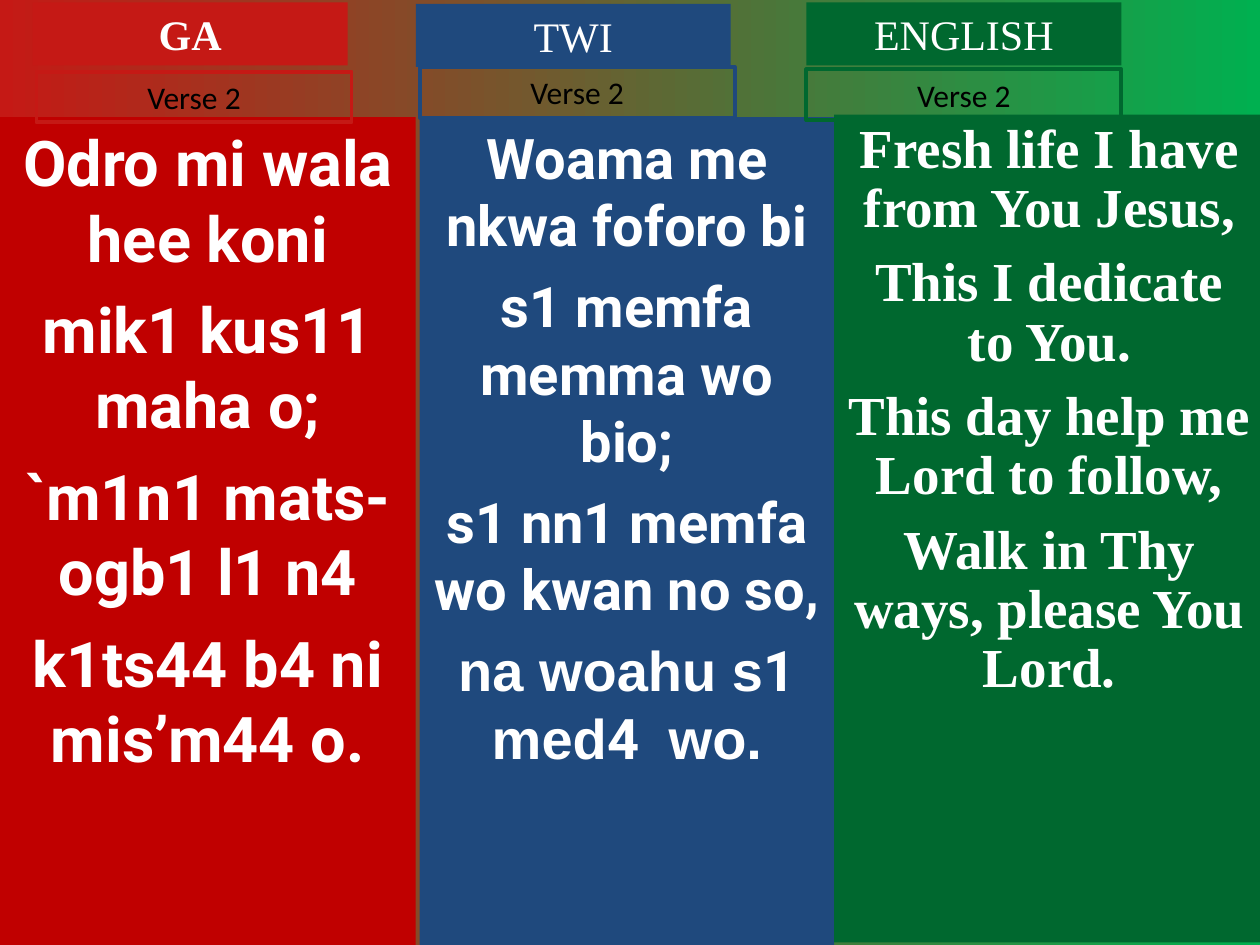
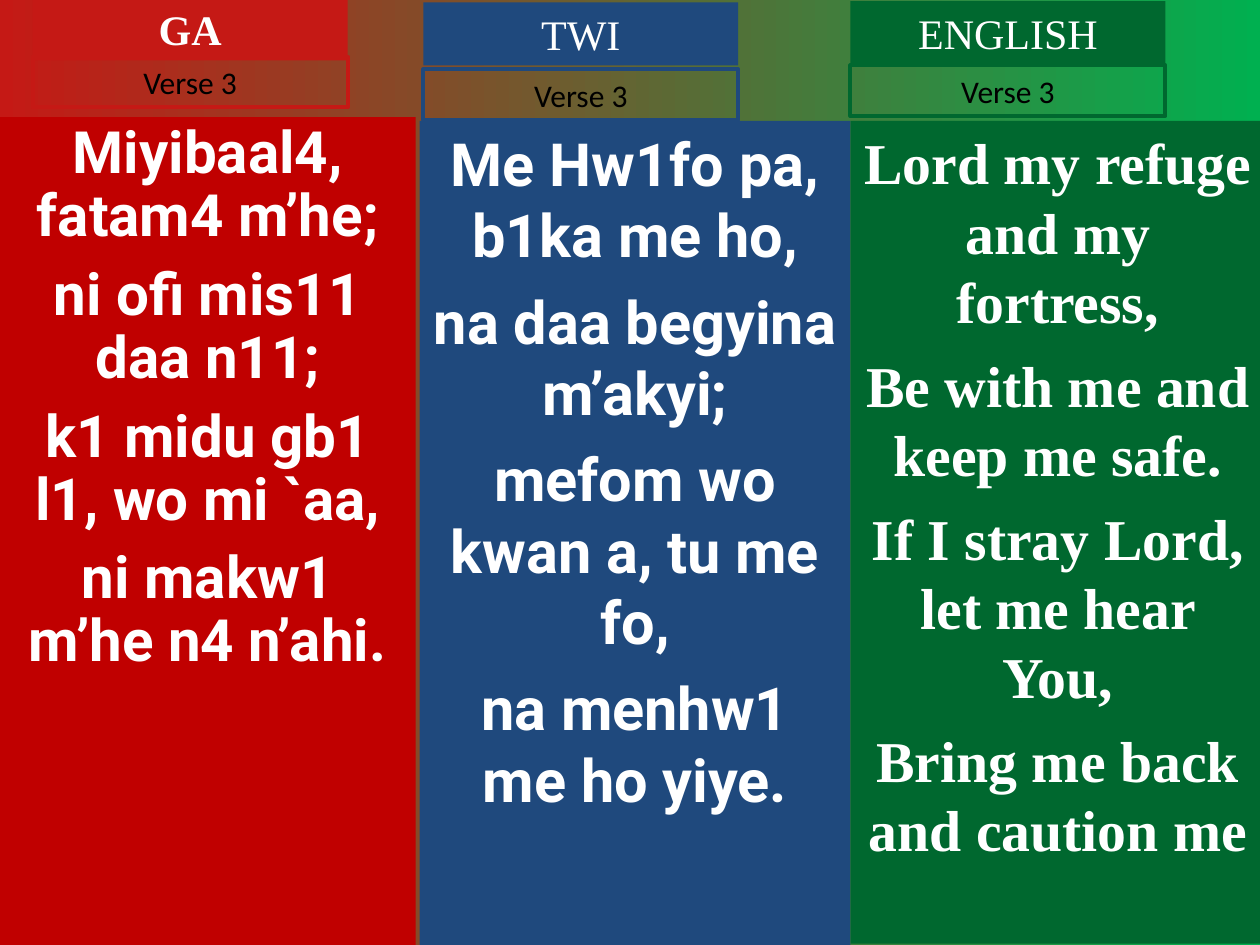
"""Build two hymn slides with each verse in Ga, Twi and English side by side."""
from dataclasses import dataclass
from typing import NamedTuple, Optional

from pptx import Presentation
from pptx.dml.color import RGBColor
from pptx.enum.shapes import MSO_SHAPE as Shape
from pptx.enum.text import MSO_ANCHOR as Anchor, MSO_AUTO_SIZE as AutoSize, PP_ALIGN as Align
from pptx.util import Pt

COLOURS = {
    "ga_panel": "C00000",
    "ga": "C51915",
    "twi": "1F497D",
    "english": "00682F",
    "backdrop_end": "00B050",
    "light": "FFFFFF",
    "dark": "000000",
}
SERIF, SANS, LABEL_FONT = "Times New Roman", "Roboto", "Calibri"
LABEL_WIDTH, HEADING_HEIGHT, VERSE_HEIGHT = 180, 36, 29


class Box(NamedTuple):
    left: float
    top: float
    width: float
    height: float


class Span(NamedTuple):
    text: str
    font: str


@dataclass(frozen=True)
class Style:
    size: float
    colour: str
    bold: bool = False
    gap: float = 0
    spacing: Optional[float] = None


@dataclass(frozen=True)
class Language:
    name: str
    colour: str
    panel_colour: str
    lyric_font: str
    bold_heading: bool = False


@dataclass(frozen=True)
class Stanza:
    language: Language
    panel: Box
    heading_at: tuple[float, float]
    verse_at: tuple[float, float]
    lyric_style: Style
    lines: list[str | list[Span]]


GA = Language("GA", "ga", "ga_panel", SANS, bold_heading=True)
TWI = Language("TWI", "twi", "twi", SANS)
ENGLISH = Language("ENGLISH", "english", "english", SERIF)
GA_PANEL = Box(0, 67, 237.6, 473)


def lyrics(size: float, gap: float, spacing: Optional[float] = None) -> Style:
    return Style(size, "light", True, gap, spacing)


VERSES = {
    "Verse 2": [
        Stanza(GA, GA_PANEL, (18.7, 1.4), (20.9, 41), lyrics(36, 9), [
            "Odro mi wala hee koni",
            "mik1 kus11 maha o;",
            "`m1n1 mats- ogb1 l1 n4",
            "k1ts44 b4 ni mis’m44 o.",
        ]),
        Stanza(TWI, Box(239.8, 67, 236.9, 473), (237.6, 2.2), (239.8, 38.2), lyrics(32, 8), [
            "Woama me nkwa foforo bi",
            "s1 memfa memma wo bio;",
            "s1 nn1 memfa wo kwan no so,",
            [Span("na woahu s", "Arial"), Span("1", SANS), Span(" med", "Arial"),
             Span("4 ", SANS), Span(" wo.", "Arial")],
        ]),
        Stanza(ENGLISH, Box(476.6, 65.5, 246.2, 473), (460.8, 1.4), (460.8, 39.6),
               lyrics(31.4, 8.5, 0.9), [
            "Fresh life I have from You Jesus,",
            "This I dedicate to You.",
            "This day help me Lord to follow,",
            "Walk in Thy ways, please You Lord.",
        ]),
    ],
    "Verse 3": [
        Stanza(GA, GA_PANEL, (18.7, -1.4), (18.7, 32.4), lyrics(33.3, 9, 0.9), [
            "Miyibaal4, fatam4 m’he;",
            "ni ofi mis11 daa n11;",
            "k1 midu gb1 l1, wo mi `aa,",
            "ni makw1 m’he n4 n’ahi.",
        ]),
        Stanza(TWI, Box(239.8, 69.1, 246.2, 470.9), (241.9, 1.4), (241.9, 39.6), lyrics(34, 8.5), [
            "Me Hw1fo pa, b1ka me ho,",
            "na daa begyina m’akyi;",
            "mefom wo kwan a, tu me fo,",
            "na menhw1 me ho yiye.",
        ]),
        Stanza(ENGLISH, Box(486, 69.1, 236.9, 470.2), (486, 0.7), (486, 37.4), lyrics(33, 8.2), [
            "Lord my refuge and my fortress,",
            "Be with me and keep me safe.",
            "If I stray Lord, let me hear You,",
            "Bring me back and caution me",
        ]),
    ],
}


def rgb(name: str) -> RGBColor:
    return RGBColor.from_string(COLOURS[name])


def add_block(slide, box: Box, lines: list, font: str, style: Style,
              fill: Optional[str] = None, outline: Optional[str] = None, grow: bool = False) -> None:
    block = slide.shapes.add_shape(Shape.RECTANGLE, *map(Pt, box))
    block.shadow.inherit = False
    if fill:
        block.fill.solid()
        block.fill.fore_color.rgb = rgb(fill)
    else:
        block.fill.background()
    if outline:
        block.line.color.rgb = rgb(outline)
        block.line.width = Pt(2.25)
    else:
        block.line.fill.background()
    frame = block.text_frame
    frame.word_wrap = True
    frame.vertical_anchor = Anchor.TOP
    frame.auto_size = AutoSize.SHAPE_TO_FIT_TEXT if grow else AutoSize.NONE
    for index, line in enumerate(lines):
        paragraph = frame.add_paragraph() if index else frame.paragraphs[0]
        paragraph.alignment = Align.CENTER
        paragraph.space_before = Pt(style.gap if index else 0)
        if style.spacing:
            paragraph.line_spacing = style.spacing
        for span in [Span(line, font)] if isinstance(line, str) else line:
            run = paragraph.add_run()
            run.text = span.text
            run.font.name = span.font
            run.font.size = Pt(style.size)
            run.font.bold = style.bold
            run.font.color.rgb = rgb(style.colour)


def add_stanza(slide, verse: str, stanza: Stanza) -> None:
    language = stanza.language
    add_block(slide, stanza.panel, stanza.lines, language.lyric_font, stanza.lyric_style,
              fill=language.panel_colour)
    add_block(slide, Box(*stanza.heading_at, LABEL_WIDTH, HEADING_HEIGHT), [language.name], SERIF,
              Style(24, "light", language.bold_heading), fill=language.colour, grow=True)
    add_block(slide, Box(*stanza.verse_at, LABEL_WIDTH, VERSE_HEIGHT), [verse], LABEL_FONT,
              Style(18, "dark"), outline=language.colour, grow=True)


def paint_backdrop(slide) -> None:
    backdrop = slide.background.fill
    backdrop.gradient()
    backdrop.gradient_angle = 0
    for stop, colour in zip(backdrop.gradient_stops, ("ga", "backdrop_end")):
        stop.color.rgb = rgb(colour)


def main() -> None:
    hymn = Presentation()
    hymn.slide_width, hymn.slide_height = Pt(720), Pt(540)
    for verse, stanzas in VERSES.items():
        slide = hymn.slides.add_slide(hymn.slide_layouts[6])
        paint_backdrop(slide)
        for stanza in stanzas:
            add_stanza(slide, verse, stanza)
    hymn.save("out.pptx")


if __name__ == "__main__":
    main()
